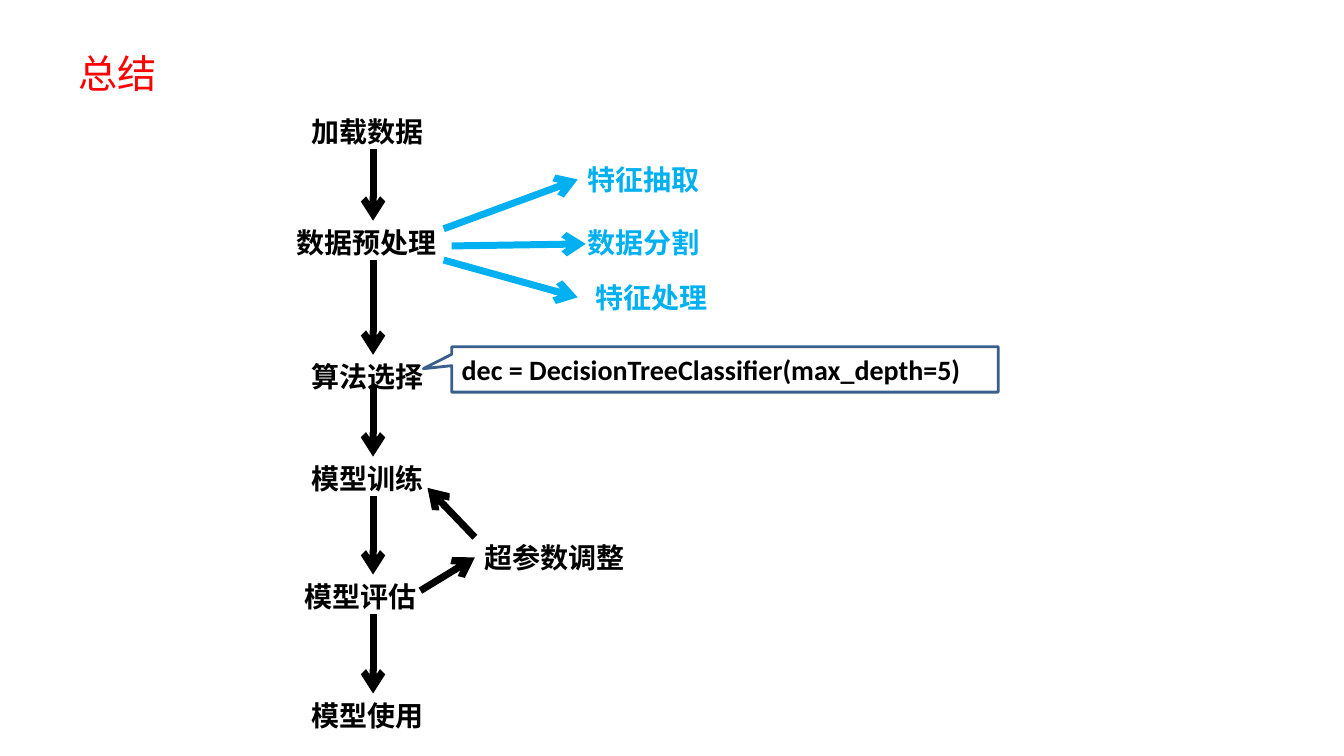
from lxml import etree
from pptx import Presentation
from pptx import util as u
from pptx.dml import color
from pptx.enum import shapes, text
from pptx.oxml import ns

BLACK, BLUE, RED, WHITE, NAVY = "000000", "00B0F0", "FF0000", "FFFFFF", "3A5F8C"
LEFT_SIDE = 1


def rgb(value):
    return color.RGBColor.from_string(value)


def apply(target, values):
    for name, value in values.items():
        setattr(target, name, value)


class FlowSlide:
    label_font = {"name": "Calibri", "size": u.Pt(20), "bold": True}
    title_font = {"name": "Noto Sans CJK SC", "size": u.Pt(28), "bold": False}
    fitted = {"auto_size": text.MSO_AUTO_SIZE.SHAPE_TO_FIT_TEXT, "word_wrap": False,
              "vertical_anchor": text.MSO_ANCHOR.TOP}
    framed = {"auto_size": text.MSO_AUTO_SIZE.NONE, "word_wrap": True,
              "vertical_anchor": text.MSO_ANCHOR.MIDDLE}
    arrow_width = u.Pt(5)

    def __init__(self, deck):
        self.slide = deck.slides.add_slide(deck.slide_layouts[5])

    def put_text(self, holder, words, font, hue, frame):
        apply(holder.text_frame, frame)
        paragraph = holder.text_frame.paragraphs[0]
        paragraph.alignment = text.PP_ALIGN.LEFT
        run = paragraph.add_run()
        run.text = words
        apply(run.font, font)
        run.font.color.rgb = rgb(hue)
        return run

    def title(self, words, left, top, width, height):
        heading = self.slide.shapes.title
        apply(heading, {"left": u.Inches(left), "top": u.Inches(top),
                        "width": u.Inches(width), "height": u.Inches(height)})
        run = self.put_text(heading, words, self.title_font, RED, self.fitted)
        east_asian = etree.SubElement(run.font._element, ns.qn("a:ea"))
        east_asian.set("typeface", self.title_font["name"])

    def label(self, words, left, top, width=1.33, hue=BLACK):
        box = self.slide.shapes.add_textbox(*map(u.Inches, (left, top, width, 0.44)))
        self.put_text(box, words, self.label_font, hue, self.fitted)
        return box

    def arrow(self, start, end, hue=BLACK, target=None):
        line = self.slide.shapes.add_connector(
            shapes.MSO_CONNECTOR.STRAIGHT, *map(u.Inches, start + end))
        line.line.width = self.arrow_width
        line.line.color.rgb = rgb(hue)
        outline = line._element.spPr.find(ns.qn("a:ln"))
        etree.SubElement(outline, ns.qn("a:tailEnd")).set("type", "arrow")
        etree.SubElement(line._element.spPr, ns.qn("a:effectLst"))
        if target is not None:
            line.end_connect(target, LEFT_SIDE)

    def callout(self, words, left, top, width, height, tip):
        bubble = self.slide.shapes.add_shape(
            shapes.MSO_SHAPE.RECTANGULAR_CALLOUT,
            *map(u.Inches, (left, top, width, height)))
        bubble.shadow.inherit = False
        bubble.adjustments[0], bubble.adjustments[1] = tip
        bubble.fill.solid()
        bubble.fill.fore_color.rgb = rgb(WHITE)
        bubble.line.color.rgb = rgb(NAVY)
        bubble.line.width = u.Pt(2)
        self.put_text(bubble, words, self.label_font, BLACK, self.framed)


def main():
    deck = Presentation()
    apply(deck, {"slide_width": u.Inches(13.33), "slide_height": u.Inches(7.5)})
    summary = FlowSlide(deck)
    summary.title("总结", 0.68, 0.44, 0.99, 0.57)

    for step, left, top, width in [
        ("加载数据", 2.99, 1.09, 1.33),
        ("数据预处理", 2.84, 2.19, 1.61),
        ("算法选择", 2.99, 3.52, 1.33),
        ("模型训练", 2.99, 4.53, 1.33),
        ("模型评估", 2.92, 5.7, 1.33),
        ("模型使用", 2.99, 6.88, 1.33),
    ]:
        summary.label(step, left, top, width)

    flow_x = 3.7
    for top, bottom in [(1.48, 2.19), (2.58, 3.52), (3.83, 4.53), (4.92, 5.7), (6.09, 6.88)]:
        summary.arrow((flow_x, top), (flow_x, bottom))

    for task, left, top, start, end, joined in [
        ("特征抽取", 5.73, 1.56, (4.4, 2.27), (5.73, 1.78), True),
        ("数据分割", 5.73, 2.19, (4.48, 2.44), (5.81, 2.42), False),
        ("特征处理", 5.81, 2.73, (4.4, 2.58), (5.73, 2.95), False),
    ]:
        task_label = summary.label(task, left, top, hue=BLUE)
        summary.arrow(start, end, BLUE, task_label if joined else None)

    tuning = summary.label("超参数调整", 4.71, 5.31, 1.61)
    summary.arrow((4.17, 5.86), (4.71, 5.53), target=tuning)
    summary.arrow((4.71, 5.33), (4.24, 4.84))

    summary.callout("dec = DecisionTreeClassifier(max_depth=5)",
                    4.48, 3.44, 5.42, 0.45, (-0.552, -0.017))
    deck.save("out.pptx")


if __name__ == "__main__":
    main()
